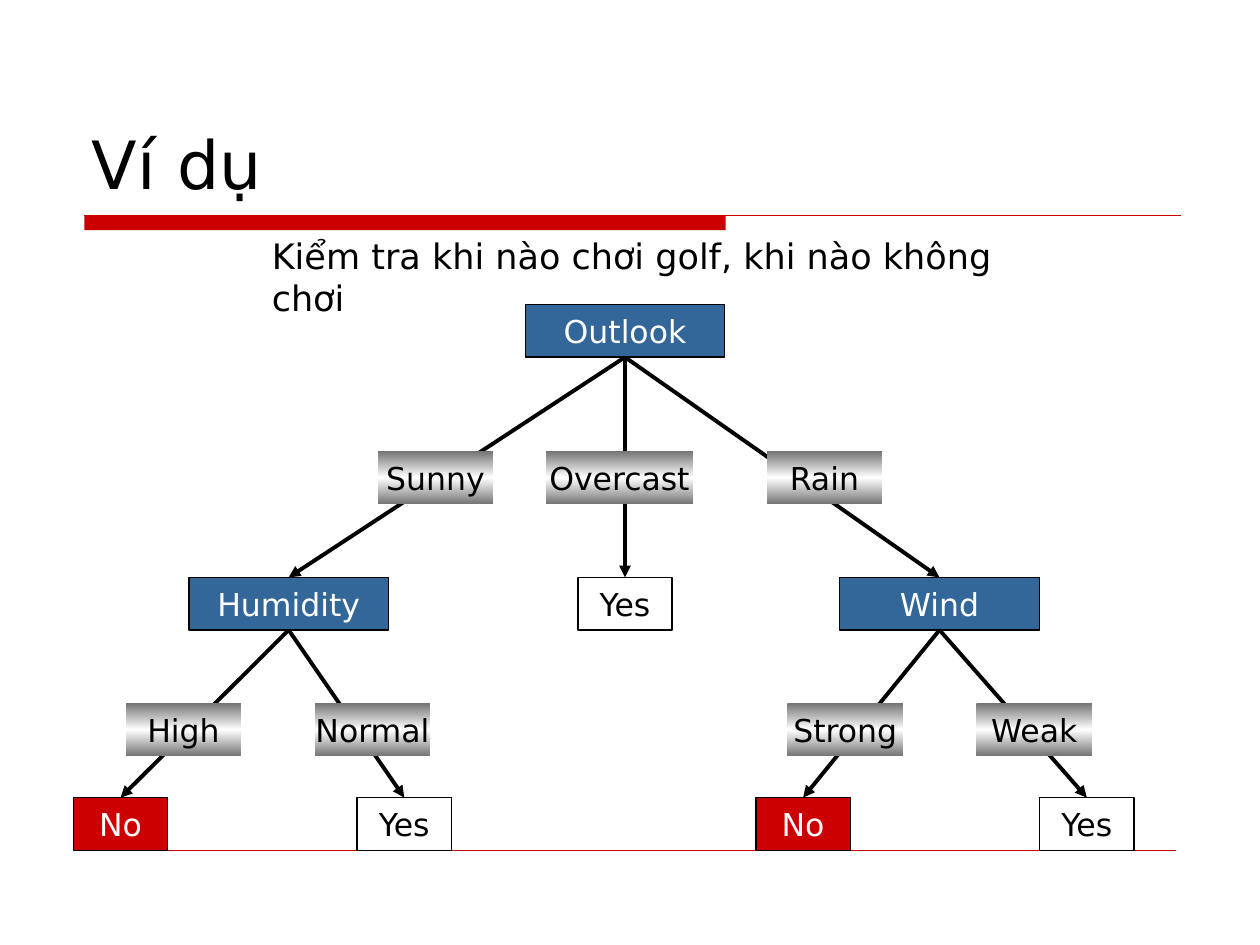
from copy import deepcopy
from dataclasses import dataclass

from pptx import Presentation
from pptx.dml.color import RGBColor
from pptx.enum import shapes as kinds, text as txt
from pptx.oxml.ns import qn
from pptx.oxml.xmlchemy import OxmlElement
from pptx.util import Cm, Pt

FONT = "DejaVu Sans"
BLACK, WHITE, RED, BLUE, GREY = "000000", "FFFFFF", "CC0000", "336699", "757575"
BOX_HEIGHT = 1.06
ROOT_TOP, MIDDLE_TOP, LEAF_TOP = 6.14, 11.64, 16.08
UPPER_LABEL_TOP, LOWER_LABEL_TOP = 9.1, 14.18
ROOT_X, HUMIDITY_X, WIND_X = 12.6, 5.82, 18.94


@dataclass(frozen=True)
class Style:
    width: float
    fill: str
    ink: str


@dataclass(frozen=True)
class Node:
    text: str
    style: Style
    center: float
    top: float


@dataclass(frozen=True)
class Branch:
    parent: Node
    child: Node
    answer: str
    center: float
    top: float
    width: float = 2.33


QUESTION = Style(4.02, BLUE, WHITE)
YES = Style(1.9, WHITE, BLACK)
NO = Style(1.9, RED, WHITE)

OUTLOOK = Node("Outlook", QUESTION, ROOT_X, ROOT_TOP)
HUMIDITY = Node("Humidity", QUESTION, HUMIDITY_X, MIDDLE_TOP)
WIND = Node("Wind", QUESTION, WIND_X, MIDDLE_TOP)

BRANCHES = [
    Branch(OUTLOOK, HUMIDITY, "Sunny", 8.78, UPPER_LABEL_TOP),
    Branch(OUTLOOK, Node("Yes", YES, ROOT_X, MIDDLE_TOP), "Overcast", 12.49,
           UPPER_LABEL_TOP, 2.96),
    Branch(OUTLOOK, WIND, "Rain", 16.62, UPPER_LABEL_TOP),
    Branch(HUMIDITY, Node("No", NO, 2.43, LEAF_TOP), "High", 3.7, LOWER_LABEL_TOP),
    Branch(HUMIDITY, Node("Yes", YES, 8.15, LEAF_TOP), "Normal", 7.51, LOWER_LABEL_TOP),
    Branch(WIND, Node("No", NO, 16.19, LEAF_TOP), "Strong", 17.04, LOWER_LABEL_TOP),
    Branch(WIND, Node("Yes", YES, 21.91, LEAF_TOP), "Weak", 20.85, LOWER_LABEL_TOP),
]


def paint(color_format, color: str) -> None:
    color_format.rgb = RGBColor.from_string(color)


def write(frame, words: str, size: float, color: str, align=txt.PP_ALIGN.LEFT) -> None:
    frame.text = words
    paragraph = frame.paragraphs[0]
    paragraph.alignment = align
    paragraph.font.name = FONT
    paragraph.font.size = Pt(size)
    paint(paragraph.font.color, color)


def add_box(slide, words: str, center: float, top: float, width: float, ink: str):
    """Add an unfilled rectangle with centred text that stays on one line."""
    box = slide.shapes.add_shape(
        kinds.MSO_SHAPE.RECTANGLE,
        Cm(center - width / 2), Cm(top), Cm(width), Cm(BOX_HEIGHT))
    box.shadow.inherit = False
    box.text_frame.word_wrap = False
    box.text_frame.vertical_anchor = txt.MSO_ANCHOR.MIDDLE
    write(box.text_frame, words, 18, ink, txt.PP_ALIGN.CENTER)
    return box


def add_node(slide, node: Node):
    box = add_box(slide, node.text, node.center, node.top, node.style.width, node.style.ink)
    box.fill.solid()
    paint(box.fill.fore_color, node.style.fill)
    paint(box.line.color, BLACK)
    box.line.width = Pt(0.75)
    return box


def add_answer(slide, branch: Branch) -> None:
    """Label a branch on a grey band that is white in the middle."""
    box = add_box(slide, branch.answer, branch.center, branch.top, branch.width, BLACK)
    box.line.fill.background()
    box.fill.gradient()
    box.fill.gradient_angle = 270
    stop_list = box._element.spPr.find(".//" + qn("a:gsLst"))
    stop_list.append(deepcopy(stop_list[0]))
    for stop, position, color in zip(box.fill.gradient_stops, (0, 0.5, 1), (GREY, WHITE, GREY)):
        stop.position = position
        paint(stop.color, color)


def add_line(slide, start: tuple, end: tuple, color: str, width: float):
    line = slide.shapes.add_connector(
        kinds.MSO_CONNECTOR.STRAIGHT, *(Cm(value) for value in (*start, *end)))
    paint(line.line.color, color)
    line.line.width = Pt(width)
    line._element.spPr.append(OxmlElement("a:effectLst"))
    return line


def add_arrow(slide, parent_box, child_box) -> None:
    """Join the bottom of the parent to the top of the child."""
    arrow = add_line(slide, (0, 0), (1, 1), BLACK, 2.25)
    arrow.begin_connect(parent_box, 2)
    arrow.end_connect(child_box, 0)
    head = OxmlElement("a:tailEnd")
    head.set("type", "triangle")
    arrow.line._get_or_add_ln().append(head)


def add_rules(slide) -> None:
    bar = slide.shapes.add_shape(
        kinds.MSO_SHAPE.RECTANGLE, Cm(1.7), Cm(4.34), Cm(12.93), Cm(0.3))
    bar.shadow.inherit = False
    bar.fill.solid()
    paint(bar.fill.fore_color, RED)
    bar.line.fill.background()
    add_line(slide, (1.7, 4.34), (23.8, 4.34), RED, 0.75)
    add_line(slide, (1.7, 17.15), (23.7, 17.15), RED, 0.25)


def add_heading(slide) -> None:
    title = slide.shapes.title
    title.left, title.top, title.width, title.height = Cm(1.6), Cm(0.84), Cm(22.23), Cm(3.38)
    title.text_frame.vertical_anchor = txt.MSO_ANCHOR.BOTTOM
    write(title.text_frame, "Ví dụ", 38, BLACK)

    caption = slide.shapes.add_textbox(Cm(5.23), Cm(4.6), Cm(15.67), Cm(1.12))
    caption.text_frame.word_wrap = True
    write(caption.text_frame, "Kiểm tra khi nào chơi golf, khi nào không chơi", 20, BLACK)


def add_tree(slide) -> None:
    nodes = [OUTLOOK, *(branch.child for branch in BRANCHES)]
    boxes = {node: add_node(slide, node) for node in nodes}
    for branch in BRANCHES:
        add_arrow(slide, boxes[branch.parent], boxes[branch.child])
    for branch in BRANCHES:
        add_answer(slide, branch)


def main() -> None:
    deck = Presentation()
    deck.slide_width, deck.slide_height = Cm(25.4), Cm(19.05)
    slide = deck.slides.add_slide(deck.slide_layouts[5])
    add_rules(slide)
    add_heading(slide)
    add_tree(slide)
    deck.save("out.pptx")


if __name__ == "__main__":
    main()
